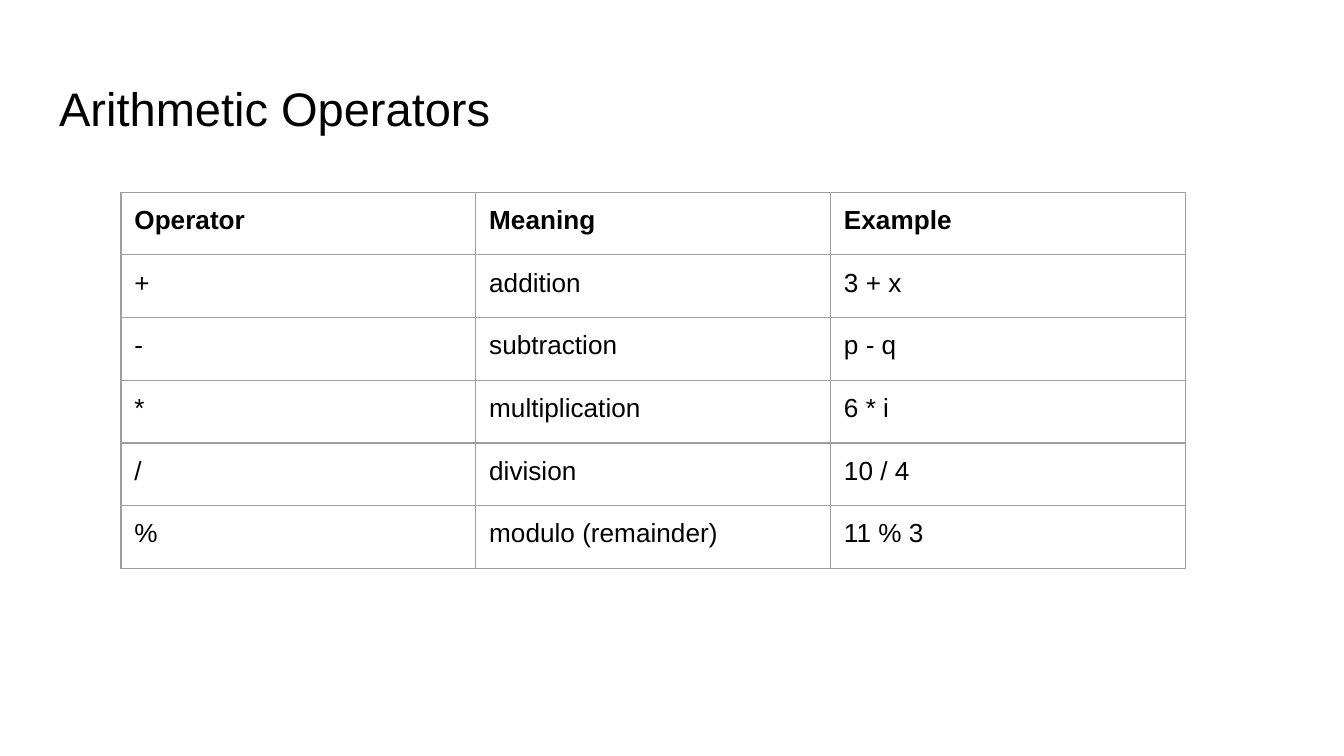
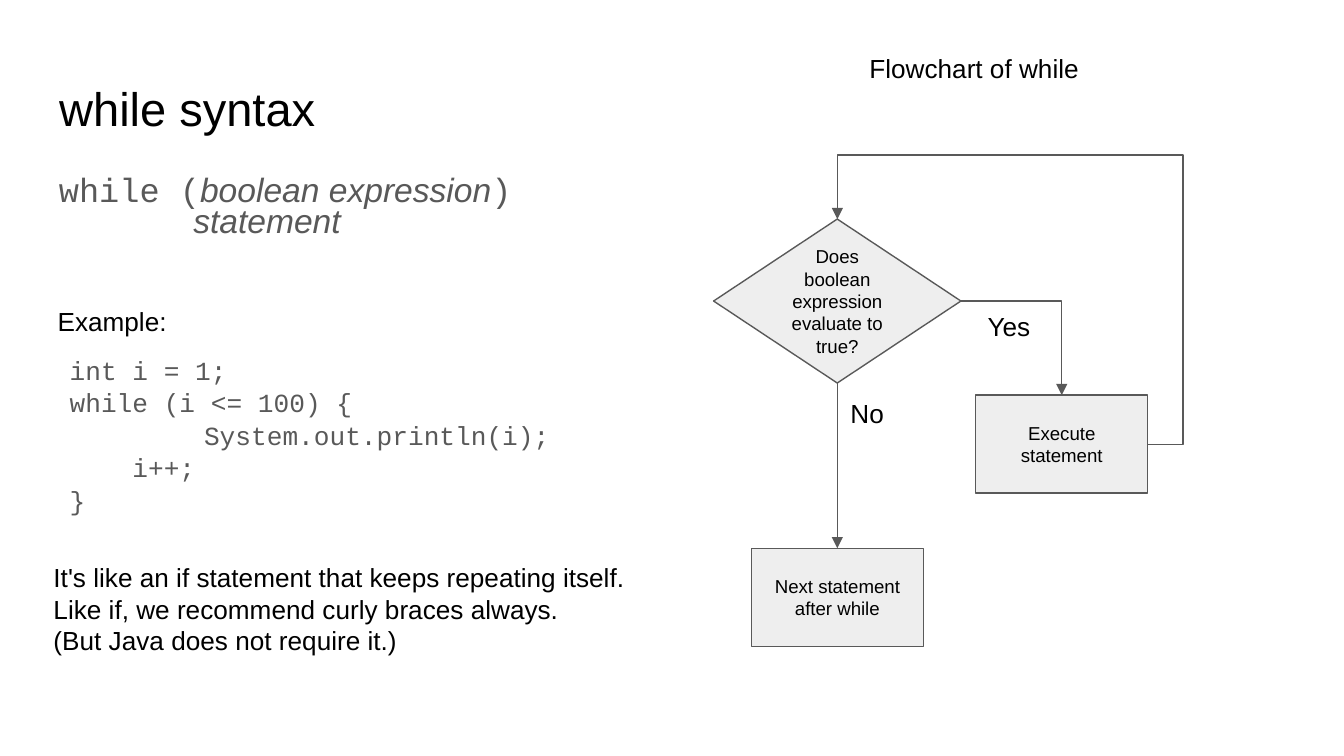
from lxml.etree import SubElement
from pptx import Presentation
from pptx.dml.color import RGBColor
from pptx.enum.shapes import MSO_CONNECTOR, MSO_SHAPE
from pptx.enum.text import MSO_ANCHOR, MSO_AUTO_SIZE, PP_ALIGN
from pptx.oxml.ns import qn
from pptx.util import Pt

PX = 9144  # EMU per px, 100 px to the inch
WIDE = 1000
PAD = 10
SANS, MONO = "Arial", "Courier New"
INK = {"text": "000000", "gray": "595959", "fill": "EEEEEE",
       "grid": "9E9E9E", "page": "FFFFFF"}
TOP, RIGHT, BOTTOM = 0, 3, 2  # connection sites

OPS = [
    ("Operator", "Meaning", "Example"),
    ("+", "addition", "3 + x"),
    ("-", "subtraction", "p - q"),
    ("*", "multiplication", "6 * i"),
    ("/", "division", "10 / 4"),
    ("%", "modulo (remainder)", "11 % 3"),
]
SYNTAX = [
    [("while (", {}), ("boolean expression", {"font": SANS, "italic": True}),
     (")", {})],
    [("\t", {}), ("statement", {"font": SANS, "italic": True})],
]
CODE = ["int i = 1;", "while (i <= 100) {", "\tSystem.out.println(i);",
        "    i++;", "}"]
NOTES = ["It's like an if statement that keeps repeating itself.",
         "Like if, we recommend curly braces always.",
         "(But Java does not require it.)"]


def hue(name):
    return RGBColor.from_string(INK[name])


def emu(*box):
    return [n * PX for n in box]


def write(frame, lines, size=14, font=SANS, color="text", bold=False,
          align=PP_ALIGN.LEFT, anchor=MSO_ANCHOR.TOP,
          lead=None, gap=0, tab=None):
    """Fill a text frame; a line is a string or a list of (text, changes)."""
    frame.word_wrap = True
    frame.auto_size = MSO_AUTO_SIZE.NONE
    frame.vertical_anchor = anchor
    frame.margin_left = frame.margin_right = PAD * PX
    frame.margin_top = frame.margin_bottom = PAD * PX
    for i, line in enumerate(lines):
        para = frame.add_paragraph() if i else frame.paragraphs[0]
        para.alignment = align
        if tab:
            stops = SubElement(para._p.get_or_add_pPr(), qn("a:tabLst"))
            SubElement(stops, qn("a:tab"), pos=str(tab * PX), algn="l")
        if lead:
            para.line_spacing = lead
        if i and gap:
            para.space_before = Pt(gap)
        for text, style in [(line, {})] if isinstance(line, str) else line:
            run = para.add_run()
            run.text = text
            run.font.size = Pt(size)
            run.font.name = style.get("font", font)
            run.font.bold = bold
            run.font.italic = style.get("italic", False)
            run.font.color.rgb = hue(color)


def label(slide, box, lines, **style):
    write(slide.shapes.add_textbox(*emu(*box)).text_frame, lines, **style)


def start(deck, title, width):
    """Add a slide with its title."""
    slide = deck.slides.add_slide(deck.slide_layouts[5])
    slide.background.fill.solid()
    slide.background.fill.fore_color.rgb = hue("page")
    head = slide.shapes.title
    head.left, head.top, head.width, head.height = emu(34, 49, width, 63)
    write(head.text_frame, [title], size=25.2)
    return slide


def edge(cell):
    """Draw the four borders of a cell."""
    props = cell._tc.get_or_add_tcPr()
    for side in ("lnL", "lnR", "lnT", "lnB"):
        line = SubElement(props, qn("a:" + side), w=str(Pt(0.75)))
        fill = SubElement(line, qn("a:solidFill"))
        SubElement(fill, qn("a:srgbClr"), val=INK["grid"])


def grid(slide, box, rows):
    table = slide.shapes.add_table(len(rows), len(rows[0]), *emu(*box)).table
    table.first_row = table.horz_banding = False
    for r, row in enumerate(rows):
        for c, text in enumerate(row):
            cell = table.cell(r, c)
            edge(cell)
            cell.fill.background()
            write(cell.text_frame, [text], bold=r == 0)
            cell.margin_left = cell.margin_right = PAD * PX
            cell.margin_top = cell.margin_bottom = PAD * PX


def node(slide, kind, box, text):
    """Add one step of the flowchart."""
    shape = slide.shapes.add_shape(kind, *emu(*box))
    shape.shadow.inherit = False
    shape.fill.solid()
    shape.fill.fore_color.rgb = hue("fill")
    shape.line.color.rgb = hue("gray")
    shape.line.width = Pt(0.75)
    write(shape.text_frame, [text], size=10, align=PP_ALIGN.CENTER,
          anchor=MSO_ANCHOR.MIDDLE)
    return shape


def link(slide, tail, head, bend=None, adjust=(), turn=False):
    """Join two (shape, site) pairs with an arrow, bent if asked."""
    kind = MSO_CONNECTOR.ELBOW if bend else MSO_CONNECTOR.STRAIGHT
    line = slide.shapes.add_connector(kind, 0, 0, 0, 0)
    line.begin_connect(*tail)
    line.end_connect(*head)
    line.line.color.rgb = hue("gray")
    line.line.width = Pt(0.75)
    SubElement(line.line._get_or_add_ln(), qn("a:tailEnd"), type="triangle")
    props = line._element.spPr
    SubElement(props, qn("a:effectLst"))
    if bend:
        geom = props.find(qn("a:prstGeom"))
        geom.set("prst", bend)
        guides = geom.find(qn("a:avLst"))
        for i, val in enumerate(adjust, 1):
            SubElement(guides, qn("a:gd"), name=f"adj{i}", fmla=f"val {val}")
    if turn:  # half a turn stands in for both flips
        frame = props.find(qn("a:xfrm"))
        for flip in ("flipH", "flipV"):
            frame.attrib.pop(flip, None)
        frame.set("rot", "10800000")


def flow(slide, x, y):
    """Draw the flowchart with its top left corner at x, y."""
    label(slide, (x + 106, y, 225, 44), ["Flowchart of while"])
    test = node(slide, MSO_SHAPE.FLOWCHART_DECISION, (x, y + 134, 184, 122),
                "Does boolean expression evaluate to true?")
    body = node(slide, MSO_SHAPE.RECTANGLE, (x + 195, y + 265, 128, 73),
                "Execute statement")
    after = node(slide, MSO_SHAPE.RECTANGLE, (x + 28, y + 379, 128, 73),
                 "Next statement after while")
    link(slide, (test, BOTTOM), (after, TOP))
    link(slide, (test, RIGHT), (body, TOP), "bentConnector2")
    link(slide, (body, RIGHT), (test, TOP), "bentConnector4",
         (-11300, 128400), turn=True)
    label(slide, (x + 194, y + 192, 55, 44), ["Yes"])
    label(slide, (x + 92, y + 257, 53, 44), ["No"])


def lesson(slide, x, y):
    """Place syntax, example and notes below each other from x, y."""
    code = {"font": MONO, "color": "gray", "gap": 4, "tab": 100}
    label(slide, (x + 4, y, 384, 85), SYNTAX, size=18, lead=0.6, **code)
    label(slide, (x + 3, y + 91, 328, 44), ["Example:"])
    label(slide, (x + 12, y + 132, 473, 137), CODE, lead=0.8, **code)
    label(slide, (x, y + 282, 473, 91), NOTES)


def main():
    deck = Presentation()
    deck.slide_width = WIDE * PX
    deck.slide_height = deck.slide_width * 9 // 16

    # Operators
    slide = start(deck, "Arithmetic Operators", 932)
    grid(slide, (90, 143, 792, 280), OPS)

    # While loop
    slide = start(deck, "while syntax", 376)
    lesson(slide, 30, 126)
    flow(slide, 531, 29)

    deck.save("out.pptx")


if __name__ == "__main__":
    main()
